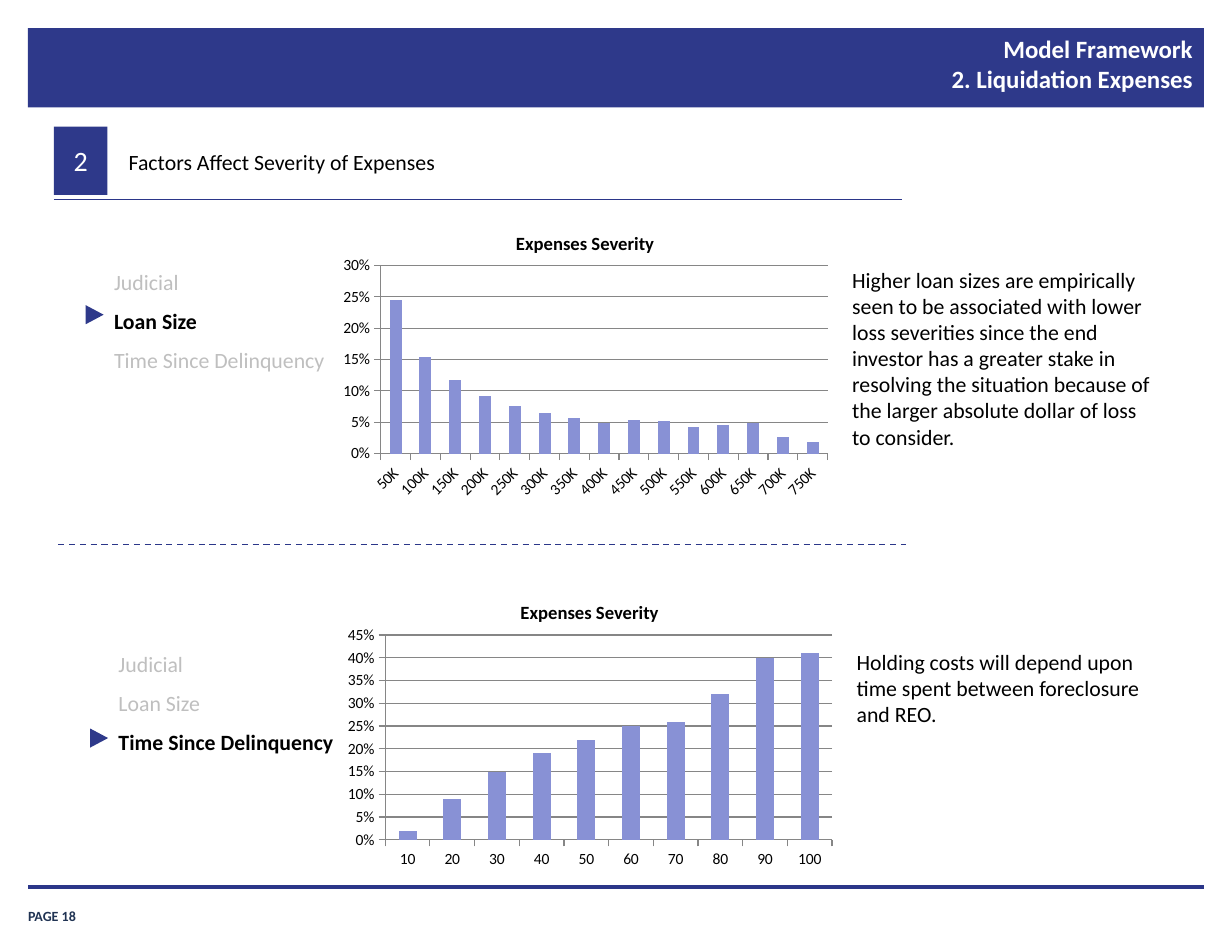
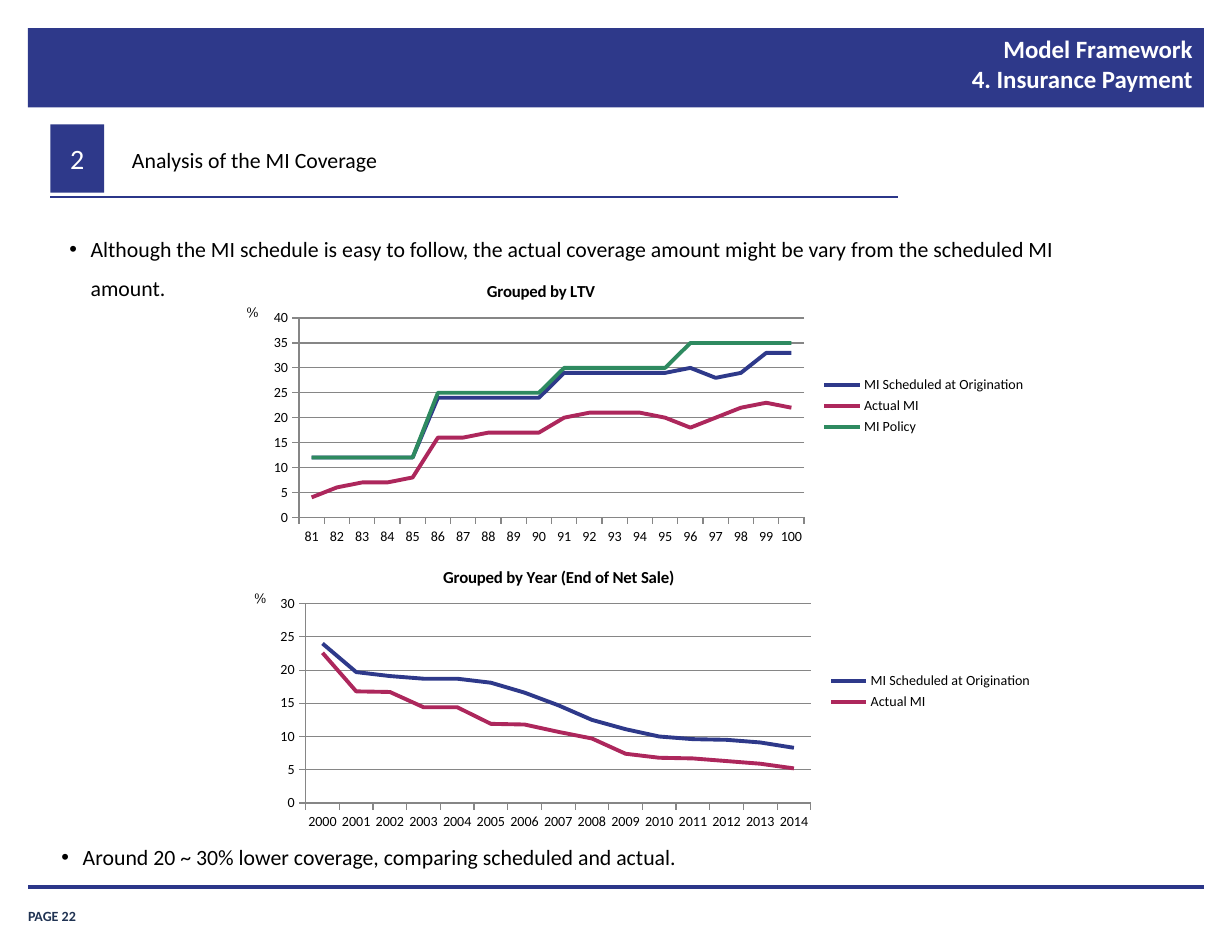
from lxml import etree
from pptx import Presentation
from pptx.chart.data import CategoryChartData as ChartData
from pptx.dml.color import RGBColor as RGB
from pptx.enum.chart import XL_CHART_TYPE as Kind, XL_LEGEND_POSITION as Side
from pptx.enum.chart import XL_TICK_MARK as Tick
from pptx.enum.dml import MSO_LINE as Dash
from pptx.enum.shapes import MSO_CONNECTOR as Wire, MSO_SHAPE as Form
from pptx.enum.text import MSO_ANCHOR as Anchor, PP_ALIGN as Align
from pptx.oxml.ns import qn
from pptx.util import Pt

PX = 9144  # 100 px to the inch
BLUE = RGB(0x2E, 0x39, 0x8A)
RULE = RGB(0x2B, 0x36, 0x89)
NAVY = RGB(0x20, 0x33, 0x53)
LILAC = RGB(0x88, 0x91, 0xD5)
WINE = RGB(0xAD, 0x27, 0x5C)
GREEN = RGB(0x2E, 0x8A, 0x60)
GRID = RGB(0x86, 0x86, 0x86)
FADED = RGB(0xBF, 0xBF, 0xBF)
BLACK = RGB(0, 0, 0)
WHITE = RGB(255, 255, 255)
FONT = "Calibri"
MENU = ["Judicial", "Loan Size", "Time Since Delinquency"]
SERIES = [("MI Scheduled at Origination", BLUE), ("Actual MI", WINE),
          ("MI Policy", GREEN)]


def emu(*nums):
    return [n * PX for n in nums]


def style(font, size, color=BLACK, bold=False, name=FONT):
    font.size, font.name, font.bold = Pt(size), name, bold
    font.color.rgb = color


def add_run(para, text, size, color=BLACK, bold=False, name=FONT):
    run = para.add_run()
    run.text = text
    style(run.font, size, color, bold, name)


def add_box(slide, box, pads=(10, 5, 10, 5), wrap=True):
    frame = slide.shapes.add_textbox(*emu(*box)).text_frame
    frame.word_wrap = wrap
    (frame.margin_left, frame.margin_top,
     frame.margin_right, frame.margin_bottom) = emu(*pads)
    return frame


def add_paras(frame, lines):
    """Yield a paragraph for each line, starting with the one in place."""
    for i, line in enumerate(lines):
        yield (frame.add_paragraph() if i else frame.paragraphs[0]), line


def add_rule(slide, x, y, width, weight, dash=None):
    line = slide.shapes.add_connector(Wire.STRAIGHT, *emu(x, y, x + width, y))
    line.line.color.rgb = RULE
    line.line.width = Pt(weight)
    if dash:
        line.line.dash_style = dash
    etree.SubElement(line._element.spPr, qn("a:effectLst"))


def add_form(slide, form, box):
    shape = slide.shapes.add_shape(form, *emu(*box))
    shape.shadow.inherit = False
    shape.fill.solid()
    shape.fill.fore_color.rgb = BLUE
    shape.line.fill.background()
    return shape


# Parts shared by all slides

def add_base(deck, title, page):
    slide = deck.slides.add_slide(deck.slide_layouts[6])
    add_form(slide, Form.RECTANGLE, (25, 25, 1050, 71))
    # Footer
    foot = add_box(slide, (25, 802, 91, 23), (0, 0, 0, 0))
    foot.vertical_anchor = Anchor.BOTTOM
    add_run(foot.paragraphs[0], f"PAGE {page}", 9, NAVY, True)
    add_rule(slide, 25, 792, 1050, 2)
    # Title in the band
    head = add_box(slide, (332, 24, 744, 74), (11, 6, 11, 6))
    para = head.paragraphs[0]
    para.alignment = Align.RIGHT
    add_run(para, "Model Framework", 16, WHITE, True)
    para.add_line_break()
    add_run(para, title, 16, WHITE, True)
    return slide


def add_section(slide, x, y, gap, text):
    badge = add_form(slide, Form.RECTANGLE, (x, y, 48, 61)).text_frame
    badge.vertical_anchor = Anchor.MIDDLE
    badge.paragraphs[0].alignment = Align.CENTER
    add_run(badge.paragraphs[0], "2", 18, WHITE)
    add_rule(slide, x, y + 65, 757, 1)
    label = add_box(slide, (x + gap, y + 15, 445, 34))
    add_run(label.paragraphs[0], text, 14)


def add_bullet(slide, x, y, height, text):
    para = add_box(slide, (x, y, 968, height)).paragraphs[0]
    props = para._p.get_or_add_pPr()
    props.set("marL", str(19 * PX))
    props.set("indent", str(-19 * PX))
    font = etree.SubElement(props, qn("a:buFont"))
    font.set("typeface", "Arial")
    etree.SubElement(props, qn("a:buChar")).set("char", "•")
    para.line_spacing = 1.5
    add_run(para, text, 14)


# Charts

def set_place(parent, index, size, place, inner=False):
    """Fix a chart part at place (px within the chart frame)."""
    for old in parent.findall(qn("c:layout")):
        parent.remove(old)
    layout = etree.Element(qn("c:layout"))
    manual = etree.SubElement(layout, qn("c:manualLayout"))
    parts = [("layoutTarget", "inner")] if inner else []
    parts += [("xMode", "edge"), ("yMode", "edge")]
    parts += [(key, f"{num / full:.4f}")
              for key, num, full in zip("xywh", place, size * 2)]
    for key, value in parts:
        etree.SubElement(manual, qn(f"c:{key}")).set("val", value)
    parent.insert(index, layout)


def add_graph(slide, kind, box, plot, cats, series, size, top, step, fmt):
    data = ChartData(number_format=fmt)
    data.categories = cats
    for name, _, vals in series:
        data.add_series(name, vals)
    chart = slide.shapes.add_chart(kind, *emu(*box), data).chart
    style(chart.font, size)
    chart.has_title = chart.has_legend = False
    area = chart._chartSpace.find(".//" + qn("c:plotArea"))
    set_place(area, 0, box[2:], plot, True)
    # Axes and grid
    scale = chart.value_axis
    scale.minimum_scale, scale.maximum_scale, scale.major_unit = 0, top, step
    scale.tick_labels.number_format = fmt
    scale.tick_labels.number_format_is_linked = False
    scale.has_major_gridlines = True
    for axis in (scale, chart.category_axis):
        axis.major_tick_mark = Tick.OUTSIDE
        axis.minor_tick_mark = Tick.NONE
        axis.format.line.color.rgb = GRID
    scale.major_gridlines.format.line.color.rgb = GRID
    # Series colours
    chart.plots[0].vary_by_categories = False
    for item, (_, color, _) in zip(chart.plots[0].series, series):
        if kind == Kind.LINE:
            item.smooth = False
            item.format.line.color.rgb = color
            item.format.line.width = Pt(2.5)
        else:
            item.format.fill.solid()
            item.format.fill.fore_color.rgb = color
    return chart


def add_bars(slide, box, depth, cats, vals, top, turn):
    chart = add_graph(slide, Kind.COLUMN_CLUSTERED, box, (42, 12, 399, depth),
                      cats, [("Series 1", LILAC, vals)], 10, top, 0.05, "0%")
    chart.plots[0].gap_width = 150
    if turn:
        body = chart.category_axis.tick_labels.font._element.getparent()
        while body.tag != qn("c:txPr"):
            body = body.getparent()
        body.find(qn("a:bodyPr")).set("rot", str(turn * 60000))


def add_lines(slide, x, y, title, inset, cats, rows, top, mark):
    size = (696, 257)
    series = [(*head, vals) for head, vals in zip(SERIES, rows)]
    chart = add_graph(slide, Kind.LINE, (x, y, *size), (37, 50, 451, 178),
                      cats, series, 9, top, 5, "General")
    chart.has_title = True
    para = chart.chart_title.text_frame.paragraphs[0]
    add_run(para, title, 10.8, BLACK, True)
    set_place(chart.chart_title._element, 1, size, (inset, 14))
    chart.has_legend = True
    chart.legend.position = Side.RIGHT
    chart.legend.include_in_layout = False
    # Unit beside the scale
    unit = add_box(slide, (x + mark, y + 32, 10, 25), (0, 5, 0, 5), False)
    add_run(unit.paragraphs[0], "%", 9, name="Cambria")


# One factor: menu, marker, bar chart and note

def add_factor(slide, x, y, pick, lift, note, *bars):
    menu = add_box(slide, (x, y, 256, 116))
    for i, (para, text) in enumerate(add_paras(menu, MENU)):
        para.line_spacing = 1.5
        on = i == pick
        add_run(para, text, 14, BLACK if on else FADED, on)
    mark = add_form(slide, Form.ISOSCELES_TRIANGLE,
                    (x - 16, y + 13 + 37 * pick, 17, 16))
    mark.rotation = 90
    body = add_box(slide, (x + 659, y + 10, 288, 175))
    for para, text in add_paras(body, note):
        add_run(para, text, 14)
    head = add_box(slide, (x + 304, y - 21 - lift, 253, 30)).paragraphs[0]
    head.alignment = Align.CENTER
    add_run(head, "Expenses Severity", 12, BLACK, True)
    add_bars(slide, (x + 206, y + 2 - lift, 450, 225), *bars)


def add_expenses(deck):
    slide = add_base(deck, "2. Liquidation Expenses", 18)
    add_section(slide, 48, 113, 57, "Factors Affect Severity of Expenses")
    add_factor(
        slide, 92, 223, 1, 0,
        ["Higher loan sizes are empirically seen to be associated with lower "
         "loss severities since the end investor has a greater stake in "
         "resolving the situation because of the larger absolute dollar of "
         "loss to consider."],
        168, [f"{n}K" for n in range(50, 751, 50) if n],
        [0.245, 0.154, 0.117, 0.091, 0.075, 0.065, 0.056, 0.049, 0.054,
         0.051, 0.043, 0.046, 0.048, 0.026, 0.018], 0.3, -45)
    add_rule(slide, 52, 486, 757, 1, Dash.DASH)
    add_factor(
        slide, 96, 564, 2, 11,
        ["Holding costs will depend upon time spent between foreclosure",
         "and REO."],
        183, [str(n) for n in range(10, 101, 10)],
        [0.02, 0.09, 0.15, 0.19, 0.22, 0.25, 0.26, 0.32, 0.4, 0.41], 0.45, 0)


def add_cover(deck):
    slide = add_base(deck, "4. Insurance Payment", 22)
    add_bullet(slide, 52, 194, 81,
               "Although the MI schedule is easy to follow, the actual coverage "
               "amount might be vary from the scheduled MI amount.")
    add_section(slide, 45, 111, 63, "Analysis of the MI Coverage")
    add_lines(
        slide, 230, 234, "Grouped by LTV", 202,
        [str(n) for n in range(81, 101)],
        [[12] * 5 + [24] * 5 + [29] * 5 + [30, 28, 29, 33, 33],
         [4, 6, 7, 7, 8, 16, 16, 17, 17, 17, 20, 21, 21, 21, 20, 18, 20, 22,
          23, 22],
         [12] * 5 + [25] * 5 + [30] * 5 + [35] * 5], 40, -10)
    add_lines(
        slide, 236, 489, "Grouped by Year (End of Net Sale)", 157,
        [str(n) for n in range(2000, 2015)],
        [[24, 19.7, 19.1, 18.7, 18.7, 18.1, 16.6, 14.7, 12.5, 11.1, 10, 9.6,
          9.5, 9.1, 8.3],
         [22.6, 16.8, 16.7, 14.4, 14.4, 11.9, 11.8, 10.7, 9.7, 7.4, 6.8, 6.7,
          6.3, 5.9, 5.2]], 30, -9)
    add_bullet(slide, 45, 737, 45,
               "Around 20 ~ 30% lower coverage, comparing scheduled and actual.")


def main():
    deck = Presentation()
    deck.slide_width, deck.slide_height = emu(1100, 850)
    add_expenses(deck)
    add_cover(deck)
    deck.save("out.pptx")


if __name__ == "__main__":
    main()
